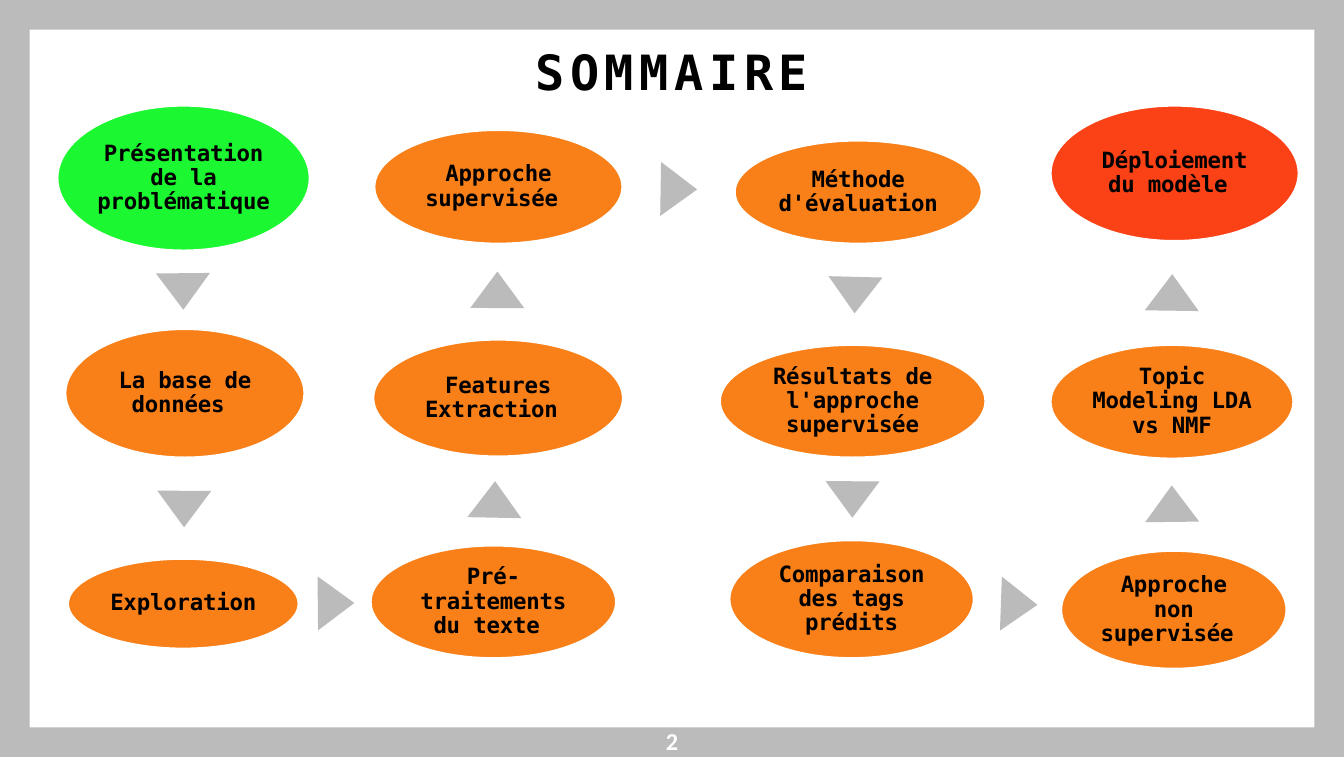
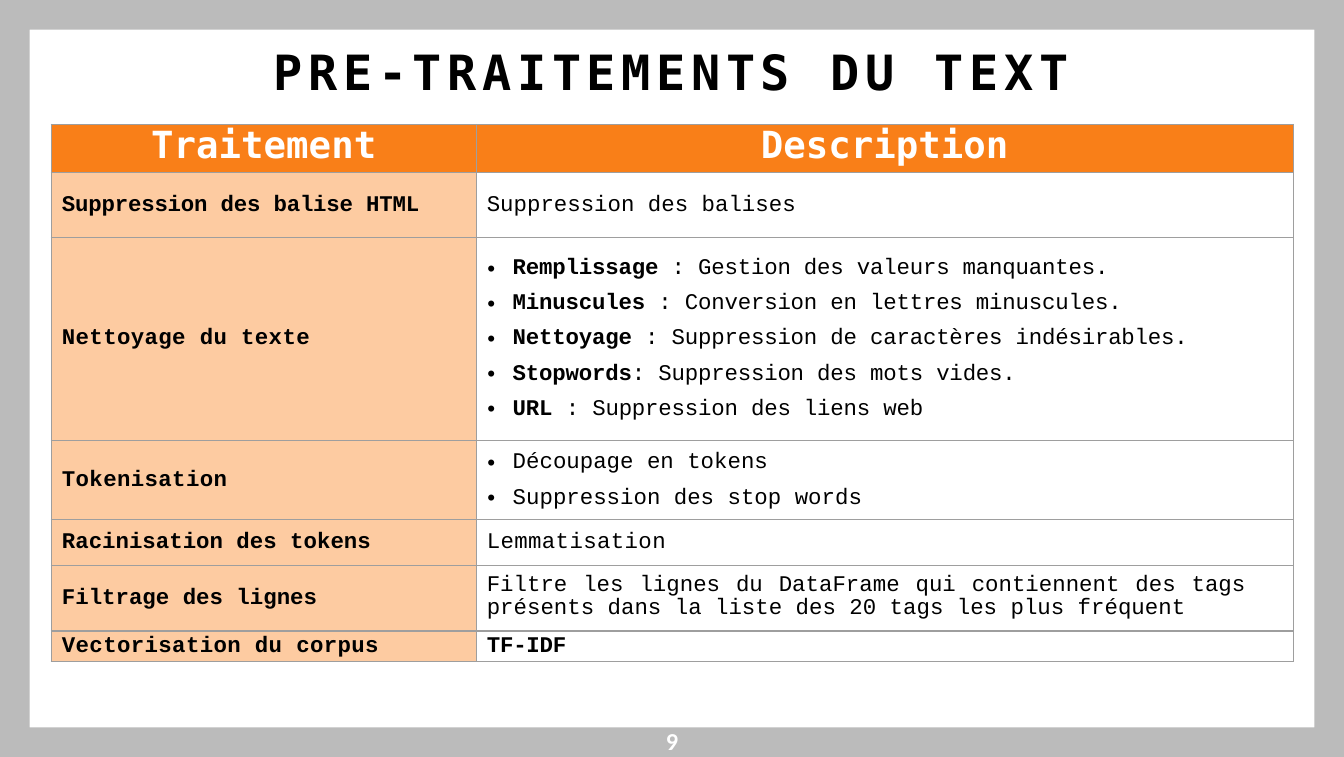
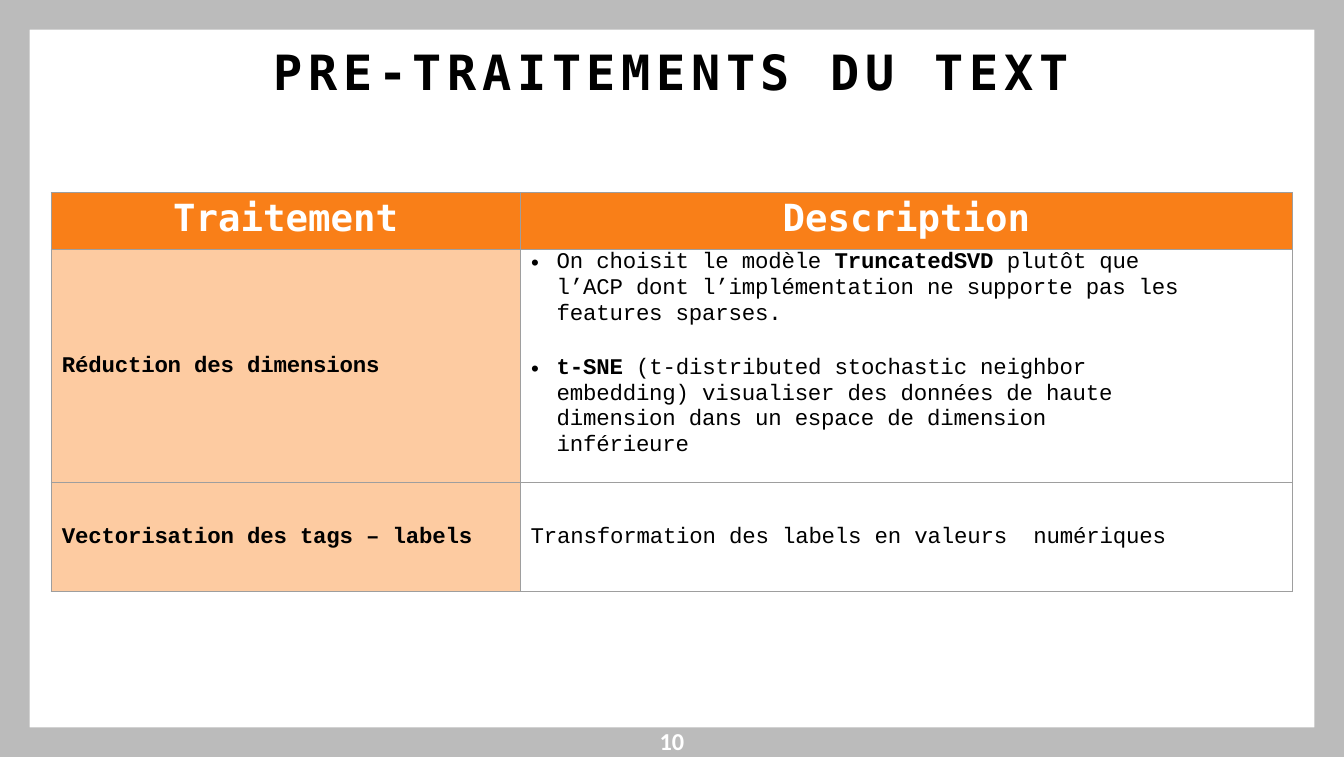
import pptx
import pptx.dml.color
import pptx.enum.shapes
import pptx.enum.text
import pptx.oxml
import pptx.oxml.ns
import pptx.util
from lxml import etree

Cm = pptx.util.Cm
Pt = pptx.util.Pt
SHAPE = pptx.enum.shapes.MSO_SHAPE
ALIGN = pptx.enum.text.PP_ALIGN
ANCHOR = pptx.enum.text.MSO_ANCHOR

HUES = {
    "grey": "BBBBBB", "rule": "9E9E9E", "white": "FFFFFF", "black": "000000",
    "start": "1BF730", "step": "F97F18", "end": "FB4217", "label": "FDCBA1",
}
MONO, CODE = "DejaVu Sans Mono", "Courier New"
WIDE, HIGH, EDGE = 25.4, 14.3, 0.56
BARE = {"margin_left": 0, "margin_right": 0, "margin_top": 0, "margin_bottom": 0}

STEPS = [
    ("Présentation de la problématique ", "start", 1.07, 1.98, 4.8, 2.77),
    ("La base de données ", "step", 1.22, 6.2, 4.55, 2.46),
    ("Exploration ", "step", 1.27, 10.54, 4.39, 1.73),
    ("Pré-traitements du texte ", "step", 6.99, 10.29, 4.67, 2.16),
    ("Features Extraction ", "step", 7.04, 6.4, 4.75, 2.24),
    ("Approche supervisée ", "step", 7.06, 2.44, 4.72, 2.18),
    ("Méthode d'évaluation ", "step", 13.87, 2.64, 4.7, 1.98),
    ("Résultats de l'approche supervisée", "step", 13.59, 6.5, 5.05, 2.16),
    ("Comparaison des tags prédits", "step", 13.77, 10.19, 4.65, 2.26),
    ("Approche non supervisée ", "step", 20.04, 10.39, 4.29, 2.26),
    ("Topic Modeling LDA vs NMF", "step", 19.84, 6.5, 4.62, 2.18),
    ("Déploiement du modèle ", "end", 19.84, 1.98, 4.72, 2.59),
]
HEADS = [
    (2.95, 5.16, 179.4), (2.97, 9.27, 180.3), (5.84, 11.05, 89.4),
    (8.84, 9.09, 1.1), (8.89, 5.13, 0.2), (12.32, 3.23, 90.9),
    (15.65, 5.23, 181.5), (15.6, 9.09, 180.3), (18.75, 11.07, 92),
    (21.64, 9.17, 359.3), (21.64, 5.18, 0.8),
]
CLEAN = [
    (1.22, "Suppression des balise HTML", -0.1, "Suppression des balises", {"track": 0}),
    (3.84, "Nettoyage du texte", 0.2, [
        "**Remplissage** : Gestion des valeurs manquantes.",
        "**Minuscules** : Conversion en lettres minuscules.",
        "**Nettoyage** : Suppression de caractères indésirables.",
        "**Stopwords**: Suppression des mots vides.",
        "**URL** : Suppression des liens web",
    ], {"top": 5, "gap": 5, "pad": 0.18}),
    (1.5, "Tokenisation", 0.2,
     ["Découpage en tokens", "Suppression des stop words"], {"gap": 5.3, "track": 0}),
    (0.86, "Racinisation des tokens", 0, "Lemmatisation", {"track": 0.2}),
    (1.24, "Filtrage des lignes", 0,
     "Filtre les lignes du DataFrame qui contiennent des tags présents "
     "dans la liste des 20 tags les plus fréquent",
     {"track": 0, "top": 2.4, "lead": 12.5, "pad": 0.89, "align": ALIGN.JUSTIFY}),
    (0.58, "Vectorisation du corpus", 0.2, "**TF-IDF**", {}),
]
REDUCE = [
    (4.4, "Réduction des dimensions", -0.1, [
        "On choisit le modèle **TruncatedSVD** plutôt que l’ACP dont "
        "l’implémentation ne supporte pas les features sparses.",
        "**t-SNE** (t-distributed stochastic neighbor embedding) visualiser des "
        "données de haute dimension dans un espace de dimension inférieure",
    ], {"top": 0.5, "gap": 15, "pad": 2, "anchor": ANCHOR.TOP}),
    (2.06, "Vectorisation des tags – labels", -0.1,
     "Transformation des labels en valeurs  numériques", {"top": 5}),
]


def put(item, values):
    """Set each attribute in values on item."""
    for name, value in values.items():
        setattr(item, name, value)


def tint(hue):
    """Return the colour for a name."""
    return pptx.dml.color.RGBColor.from_string(HUES[hue])


def paint(item, hue):
    """Fill an item with one colour."""
    item.fill.solid()
    item.fill.fore_color.rgb = tint(hue)


def write(para, text, font, size, hue="black", bold=True, track=0.0):
    """Add one run of text to a paragraph."""
    run = para.add_run()
    run.text = text
    put(run.font, {"name": font, "size": Pt(size), "bold": bold})
    run.font.color.rgb = tint(hue)
    run.font._element.set("spc", str(round(track * 100)))


def shape(slide, kind, hue, box):
    """Add a flat preset shape without outline."""
    item = slide.shapes.add_shape(kind, *map(Cm, box))
    item.shadow.inherit = False
    paint(item, hue)
    item.line.fill.background()
    return item


def bubble(slide, text, hue, *box):
    """Add one labelled step."""
    item = shape(slide, SHAPE.OVAL, hue, box)
    item.line.color.rgb = tint("white")
    item.line.width = Pt(2)
    put(item.text_frame, {**dict.fromkeys(BARE, Cm(0.05)), "word_wrap": True,
                          "vertical_anchor": ANCHOR.MIDDLE})
    para = item.text_frame.paragraphs[0]
    put(para, {"alignment": ALIGN.CENTER, "line_spacing": 0.9})
    write(para, text, MONO, 12, track=-0.1)


def border(slide):
    """Draw the grey band around the slide."""
    right, low = WIDE - EDGE, HIGH - EDGE
    outer = [(0, 0), (WIDE, 0), (WIDE, HIGH), (0, HIGH)]
    inner = [(EDGE, EDGE), (EDGE, low), (right, low), (right, EDGE)]
    outer, inner = ([(Cm(x), Cm(y)) for x, y in ring] for ring in (outer, inner))
    pen = slide.shapes.build_freeform(*outer[0])
    pen.add_line_segments(outer[1:], close=True)
    pen.move_to(*inner[0])
    pen.add_line_segments(inner[1:], close=True)
    item = pen.convert_to_shape()
    item.shadow.inherit = False
    paint(item, "grey")
    item.line.fill.background()


def start(deck, title, page):
    """Add a slide with its border, title and page number."""
    slide = deck.slides.add_slide(deck.slide_layouts[5])
    border(slide)
    head = slide.shapes.title
    put(head, {"left": 0, "top": Cm(0.76), "width": Cm(WIDE), "height": Cm(1.14)})
    foot = slide.shapes.add_textbox(Cm(9.78), Cm(13.72), Cm(5.84), Cm(0.56))
    for item in (head, foot):
        put(item.text_frame, {**BARE, "word_wrap": True, "vertical_anchor": ANCHOR.TOP})
        item.text_frame.paragraphs[0].alignment = ALIGN.CENTER
    head.text_frame.margin_top = Cm(0.03)
    write(head.text_frame.paragraphs[0], title, MONO, 26, track=3)
    write(foot.text_frame.paragraphs[0], page, "Calibri", 13, "white")
    return slide


def rule(cell):
    """Draw thin lines on the four sides of a cell."""
    props = cell._tc.get_or_add_tcPr()
    for side in "LRTB":
        props.append(pptx.oxml.parse_xml(
            f'<a:ln{side} {pptx.oxml.ns.nsdecls("a")} w="9525"><a:solidFill>'
            f'<a:srgbClr val="{HUES["rule"]}"/></a:solidFill></a:ln{side}>'))


def indent(para, left, mark=False):
    """Indent a paragraph, with a bullet if marked."""
    props = para._p.get_or_add_pPr()
    props.set("marL", str(Cm(left)))
    if mark:
        props.set("indent", str(-Cm(0.48)))
        etree.SubElement(props, pptx.oxml.ns.qn("a:buFont")).set("typeface", "Arial")
        etree.SubElement(props, pptx.oxml.ns.qn("a:buChar")).set("char", "•")


def setup(cell, hue=None, pad=0.0, anchor=ANCHOR.MIDDLE):
    """Set the border, fill and margins of a cell."""
    rule(cell)
    put(cell, {**BARE, "margin_right": Cm(pad), "vertical_anchor": anchor})
    if hue:
        paint(cell, hue)
    else:
        cell.fill.background()


def prose(cell, body, track=-0.1, top=0, gap=0, lead=13.8, align=ALIGN.LEFT):
    """Write a text or a bullet list, with bold parts between double stars."""
    mark = isinstance(body, list)
    for i, text in enumerate(body if mark else [body]):
        para = cell.text_frame.add_paragraph() if i else cell.text_frame.paragraphs[0]
        put(para, {"alignment": align, "line_spacing": Pt(lead),
                   "space_before": Pt(gap if i else top)})
        indent(para, 0.69 if mark else 0.2, mark)
        for j, part in enumerate(text.split("**")):
            if part:
                write(para, part, CODE, 12, bold=j % 2 == 1, track=track)


def grid(slide, top, cols, head, rows):
    """Add a table of treatments and descriptions."""
    highs = [head] + [row[0] for row in rows]
    table = slide.shapes.add_table(len(highs), 2, Cm(0.97), Cm(top),
                                   Cm(sum(cols)), Cm(sum(highs))).table
    put(table, {"first_row": False, "horz_banding": False})
    for col, wide in zip(table.columns, cols):
        col.width = Cm(wide)
    for row, high in zip(table.rows, highs):
        row.height = Cm(high)
    for cell, text in zip(table.rows[0].cells, ("Traitement", "Description")):
        setup(cell, "step")
        para = cell.text_frame.paragraphs[0]
        put(para, {"alignment": ALIGN.CENTER, "line_spacing": Pt(20.3)})
        write(para, text, MONO, 20, "white")
    for i, (_, label, track, body, style) in enumerate(rows, 1):
        left, right = table.cell(i, 0), table.cell(i, 1)
        frame = {key: style[key] for key in ("pad", "anchor") if key in style}
        words = {key: style[key] for key in style if key not in frame}
        setup(left, "label")
        prose(left, f"**{label}**", track)
        setup(right, **frame)
        prose(right, body, **words)


def main():
    """Build and save the three slides."""
    deck = pptx.Presentation()
    put(deck, {"slide_width": Cm(WIDE), "slide_height": Cm(HIGH)})
    slide = start(deck, "SOMMAIRE", "2")
    for step in STEPS:
        bubble(slide, *step)
    for x, y, turn in HEADS:
        shape(slide, SHAPE.ISOSCELES_TRIANGLE, "grey", (x, y, 1.02, 0.69)).rotation = turn
    title = "PRE-TRAITEMENTS DU TEXT"
    grid(start(deck, title, "9"), 2.35, (8.03, 15.44), 0.91, CLEAN)
    grid(start(deck, title, "10"), 3.64, (8.86, 14.6), 1.08, REDUCE)
    deck.save("out.pptx")


if __name__ == "__main__":
    main()
